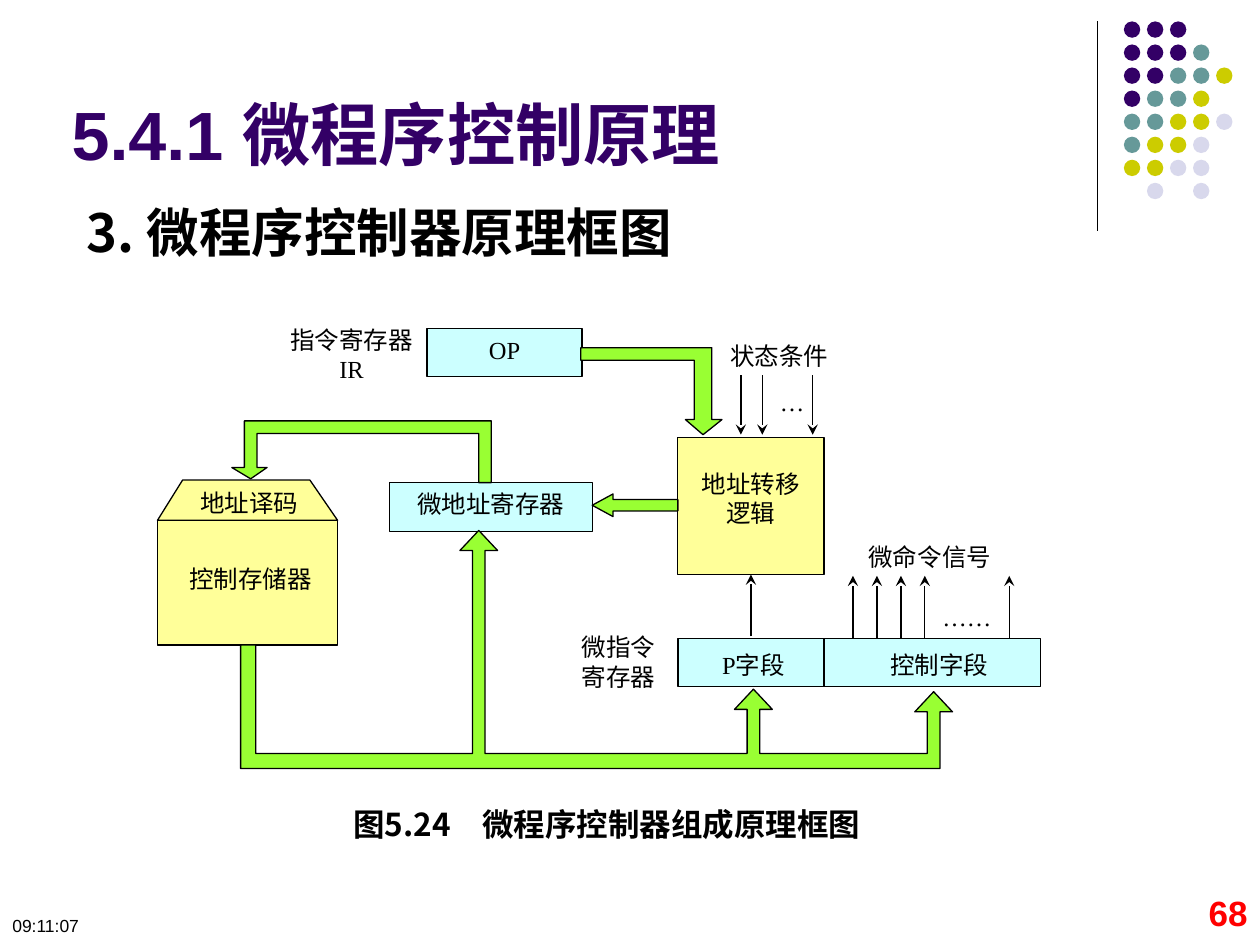
import dataclasses

import lxml.etree
import pptx
import pptx.dml.color
import pptx.enum.shapes
import pptx.enum.text
import pptx.oxml.ns
import pptx.util

Inches = pptx.util.Inches
Shape = pptx.enum.shapes.MSO_SHAPE
Align = pptx.enum.text.PP_ALIGN
Anchor = pptx.enum.text.MSO_ANCHOR
qn = pptx.oxml.ns.qn


@dataclasses.dataclass(frozen=True)
class Theme:
    """Colours, fonts and type sizes of the slide."""
    ink: str = "000000"
    purple: str = "330066"
    teal: str = "669999"
    olive: str = "CCCC00"
    mist: str = "D8D8EC"
    register: str = "CCFFFF"
    store: str = "FFFF99"
    bus: str = "99FF33"
    number: str = "FF0000"
    sans: str = "Arial"
    serif: str = "Times New Roman"
    chinese: str = "Noto Sans CJK SC"
    line: float = 0.75
    section: int = 39
    title: int = 30
    caption: int = 18
    label: int = 14
    page: int = 20
    clock: int = 10


THEME = Theme()
FLUSH = (0, 0, 0, 0)
PADDED = (0.1, 0.05, 0.1, 0.05)
LABEL = {"name": THEME.serif, "size": THEME.label, "bold": False, "color": THEME.ink}


def rgb(value):
    """Turn a hex string into a colour."""
    return pptx.dml.color.RGBColor.from_string(value)


def lengths(*values):
    """Turn numbers of inches into lengths."""
    return [Inches(value) for value in values]


def within(box, left, top, width, height):
    """Place a part relative to the corner of its region."""
    return box[0] + left, box[1] + top, width, height


def write(shape, text, style=LABEL, align=Align.CENTER, insets=PADDED, anchor=Anchor.TOP):
    """Write paragraphs into a shape with one format."""
    frame = shape.text_frame
    left, top, right, bottom = lengths(*insets)
    layout = {"word_wrap": True, "vertical_anchor": anchor,
              "auto_size": pptx.enum.text.MSO_AUTO_SIZE.NONE, "margin_left": left,
              "margin_top": top, "margin_right": right, "margin_bottom": bottom}
    for name, value in layout.items():
        setattr(frame, name, value)
    frame.text = text
    for para in frame.paragraphs:
        para.alignment = align
        for span in para.runs:
            for name in ("name", "bold"):
                setattr(span.font, name, style[name])
            span.font.size = pptx.util.Pt(style["size"])
            span.font.color.rgb = rgb(style["color"])
            asian = lxml.etree.SubElement(span._r.get_or_add_rPr(), qn("a:ea"))
            asian.set("typeface", THEME.chinese)


def add_text(page, box, text, **options):
    """Add a text box."""
    write(page.shapes.add_textbox(*lengths(*box)), text, **options)


def paint(shape, fill, outlined=True):
    """Give a shape its fill and outline."""
    shape.shadow.inherit = False
    shape.fill.solid()
    shape.fill.fore_color.rgb = rgb(fill)
    if outlined:
        shape.line.color.rgb = rgb(THEME.ink)
        shape.line.width = pptx.util.Pt(THEME.line)
    else:
        shape.line.fill.background()
    return shape


def add_block(page, box, fill, kind=Shape.RECTANGLE, outlined=True):
    """Add a painted preset shape."""
    return paint(page.shapes.add_shape(kind, *lengths(*box)), fill, outlined)


def add_outline(page, box, points, fill):
    """Add a closed outline whose points are relative to the box."""
    corners = [lengths(box[0] + x, box[1] + y) for x, y in points]
    builder = page.shapes.build_freeform(*corners[0], scale=1.0)
    builder.add_line_segments(corners[1:], close=True)
    return paint(builder.convert_to_shape(), fill)


def add_line(page, start, end, arrow=True):
    """Add a thin straight line, with an arrowhead if asked."""
    line = page.shapes.add_connector(pptx.enum.shapes.MSO_CONNECTOR.STRAIGHT,
                                     *lengths(*start, *end))
    line.line.color.rgb = rgb(THEME.ink)
    line.line.width = pptx.util.Pt(THEME.line)
    if arrow:
        lxml.etree.SubElement(line.line._get_or_add_ln(), qn("a:tailEnd")).set("type", "stealth")
    lxml.etree.SubElement(line._element.spPr, qn("a:effectLst"))
    return line


def add_dot_corner(page, box):
    """Draw the rule and the grid of dots in the corner."""
    left, top, _, height = box
    add_line(page, (left, top), (left, top + height), arrow=False)
    colors = {"P": THEME.purple, "T": THEME.teal, "O": THEME.olive, "M": THEME.mist}
    rows = ("PPP", "PPPT", "PPTTO", "PTTO", "TTOOM", "TOOM", "OOMM", " M M")
    pitch = 0.183
    for row, marks in enumerate(rows):
        for column, mark in enumerate(marks):
            if mark in colors:
                dot = within(box, 0.21 + column * pitch, row * pitch, 0.13, 0.13)
                add_block(page, dot, colors[mark], Shape.OVAL, outlined=False)


def add_heading(page, box):
    """Place the section heading and the slide title."""
    section = {"name": THEME.sans, "size": THEME.section, "bold": True, "color": THEME.purple}
    title = {"name": THEME.chinese, "size": THEME.title, "bold": True, "color": THEME.ink}
    add_text(page, within(box, 0, 0, 5.68, 0.71), "5.4.1 微程序控制原理",
             style=section, align=Align.LEFT)
    holder = page.shapes.title
    place = lengths(*within(box, 0.12, 0.87, 5.14, 0.59))
    for name, value in zip(("left", "top", "width", "height"), place):
        setattr(holder, name, value)
    write(holder, "3. 微程序控制器原理框图", style=title, align=Align.LEFT, anchor=Anchor.BOTTOM)


def add_instruction_register(page, box):
    """Draw the instruction register and its path to the address logic."""
    add_text(page, within(box, 0, 0, 1.04, 0.27), "指令寄存器IR", insets=FLUSH)
    write(add_block(page, within(box, 1.12, 0.03, 1.23, 0.38), THEME.register), "OP")
    elbow = [(0, 0), (1.04, 0), (1.04, 0.57), (1.12, 0.57), (0.97, 0.69),
             (0.83, 0.57), (0.9, 0.57), (0.9, 0.1), (0, 0.1)]
    add_outline(page, within(box, 2.34, 0.18, 1.12, 0.69), elbow, THEME.bus)


def add_address_logic(page, box):
    """Draw the address logic with its status inputs and return its block."""
    left, top, _, _ = box
    add_text(page, within(box, 0.35, 0, 0.91, 0.24), "状态条件", insets=FLUSH)
    add_text(page, within(box, 0.81, 0.36, 0.26, 0.27), "…", align=Align.LEFT, insets=FLUSH)
    for x in (0.5, 0.67, 1.07):
        add_line(page, (left + x, top + 0.27), (left + x, top + 0.74))
    logic = add_block(page, within(box, 0, 0.76, 1.16, 1.09), THEME.store)
    write(logic, "地址转移\n逻辑", insets=(0.1, 0.25, 0.1, 0.05))
    return logic


def add_address_register(page, box):
    """Draw the micro-address register, its input arrow and its path to the decoder."""
    write(add_block(page, within(box, 1.25, 0.49, 1.61, 0.39), THEME.register), "微地址寄存器")
    arrow = add_block(page, within(box, 2.86, 0.58, 0.68, 0.18), THEME.bus, Shape.LEFT_ARROW)
    arrow.adjustments[1] = 0.92
    route = [(1.96, 0.49), (1.96, 0.1), (0.2, 0.1), (0.2, 0.37), (0.28, 0.37), (0.15, 0.46),
             (0, 0.37), (0.1, 0.37), (0.1, 0), (2.06, 0), (2.06, 0.49)]
    add_outline(page, box, route, THEME.bus)


def add_control_store(page, box):
    """Draw the control store under its address decoder."""
    decoder = [(0.2, 0), (1.21, 0), (1.43, 0.32), (0, 0.32)]
    add_outline(page, box, decoder, THEME.store)
    add_block(page, within(box, 0, 0.32, 1.43, 0.99), THEME.store)
    add_text(page, within(box, 0.23, 0.06, 1, 0.26), "地址译码", insets=FLUSH)
    add_text(page, within(box, 0.25, 0.67, 1.01, 0.31), "控制存储器",
             align=Align.LEFT, insets=FLUSH)


def add_microinstruction_register(page, box, logic):
    """Draw the microinstruction register, its fields and its outputs."""
    left, top, _, _ = box
    add_block(page, within(box, 0.9, 0.77, 2.88, 0.38), THEME.register)
    add_line(page, (left + 2.06, top + 0.77), (left + 2.06, top + 1.15), arrow=False)
    for place, text in (((1.02, 0.86, 0.96, 0.27), "P字段"), ((2.36, 0.86, 1.23, 0.27), "控制字段"),
                        ((2.83, 0.48, 0.73, 0.27), "……"), ((2.29, 0, 1.22, 0.26), "微命令信号")):
        add_text(page, within(box, *place), text, insets=FLUSH)
    add_text(page, within(box, 0, 0.72, 0.72, 0.53), "微指令\n寄存器", align=Align.RIGHT, insets=FLUSH)
    for x in (2.29, 2.48, 2.67, 2.86, 3.53):
        add_line(page, (left + x, top + 0.76), (left + x, top + 0.27))
    feedback = add_line(page, (left + 1.48, top + 0.75), (left + 1.48, top + 0.26))
    feedback.end_connect(logic, 2)


def add_bus(page, box):
    """Draw the bus from the control store with its three upward branches."""
    height = box[3]
    upper = height - 0.12
    points = [(0.12, 0.91), (0.12, upper)]
    for center, tip in ((1.89, 0), (4.07, 1.26), (5.5, 1.28)):
        neck = tip + 0.16
        points += [(center - 0.05, upper), (center - 0.05, neck), (center - 0.15, neck),
                   (center, tip), (center + 0.15, neck), (center + 0.05, neck),
                   (center + 0.05, upper)]
    points[-1] = (points[-1][0], height)
    add_outline(page, box, points + [(0, height), (0, 0.91)], THEME.bus)


def add_caption(page, box):
    """Write the figure caption."""
    style = {"name": THEME.chinese, "size": THEME.caption, "bold": True, "color": THEME.ink}
    add_text(page, box, "图5.24　微程序控制器组成原理框图", style=style, insets=FLUSH)


def add_footer(page, box):
    """Write the time and the page number."""
    clock = {"name": THEME.sans, "size": THEME.clock, "bold": False, "color": THEME.ink}
    number = {"name": THEME.sans, "size": THEME.page, "bold": True, "color": THEME.number}
    add_text(page, within(box, 0, 0.18, 2.33, 0.29), "09:11:07", style=clock, align=Align.LEFT)
    add_text(page, within(box, 9.02, 0, 0.98, 0.5), "68", style=number, align=Align.RIGHT)


def main():
    """Build the slide and save it."""
    deck = pptx.Presentation()
    deck.slide_width, deck.slide_height = lengths(10, 7.5)
    page = deck.slides.add_slide(deck.slide_layouts[5])
    add_dot_corner(page, (8.71, 0.17, 1.07, 1.66))
    add_heading(page, (0.47, 0.68, 5.68, 1.46))
    add_instruction_register(page, (2.27, 2.58, 3.46, 0.87))
    logic = add_address_logic(page, (5.38, 2.71, 1.26, 1.85))
    add_address_register(page, (1.84, 3.34, 3.54, 0.88))
    add_control_store(page, (1.25, 3.81, 1.43, 1.31))
    add_microinstruction_register(page, (4.48, 4.3, 3.78, 1.25), logic)
    add_bus(page, (1.91, 4.21, 5.65, 1.89))
    add_caption(page, (2.67, 6.39, 4.29, 0.4))
    add_footer(page, (0, 7.03, 10, 0.5))
    deck.save("out.pptx")


if __name__ == "__main__":
    main()
